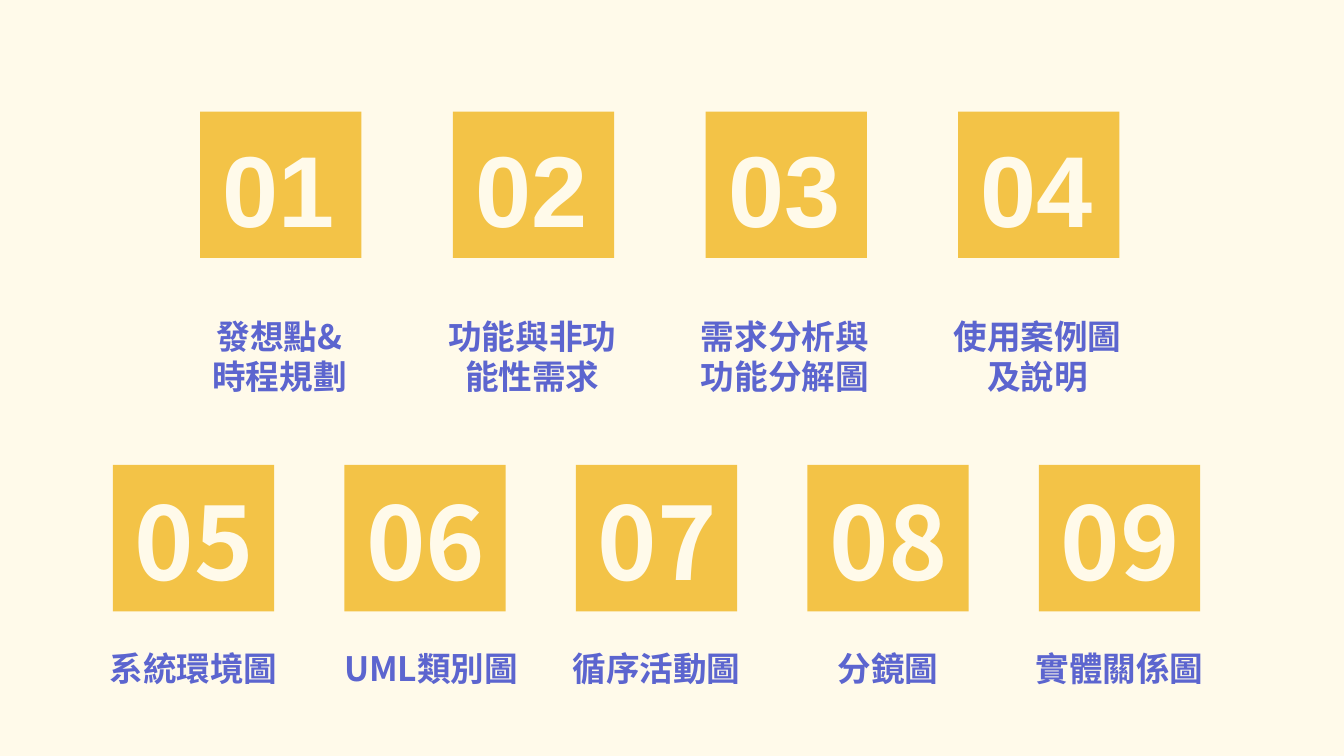
from dataclasses import dataclass

from lxml.etree import SubElement
from pptx import Presentation
from pptx.dml.color import RGBColor
from pptx.enum.shapes import MSO_SHAPE
from pptx.enum.text import MSO_ANCHOR, MSO_AUTO_SIZE, PP_ALIGN
from pptx.oxml.ns import qn
from pptx.util import Inches, Pt

TOP_TOPICS = [
    ("01", ["發想點&", "時程規劃"]),
    ("02", ["功能與非功能性需求"]),
    ("03", ["需求分析與功能分解圖"]),
    ("04", ["使用案例圖及說明"]),
]
BOTTOM_TOPICS = [
    ("05", ["系統環境圖"]),
    ("06", ["UML類別圖"]),
    ("07", ["循序活動圖"]),
    ("08", ["分鏡圖"]),
    ("09", ["實體關係圖"]),
]


@dataclass(frozen=True)
class Theme:
    background = RGBColor.from_string("FFFAEA")
    tile = RGBColor.from_string("F3C347")
    label = RGBColor.from_string("5C65CF")
    latin_font = "Arial"
    cjk_font = "Noto Sans CJK SC"
    label_size = Pt(18)
    number_size = Pt(54)


SLIDE_WIDTH = 10
SLIDE_HEIGHT = SLIDE_WIDTH * 9 / 16
TILE_WIDTH, TILE_HEIGHT = 1.2, 1.09
NUMBER_WIDTH, NUMBER_HEIGHT = 2.09, 1.15
LABEL_WIDTH, LABEL_HEIGHT = 1.62, 0.73


def place(shape, left, top, width, height):
    shape.left, shape.top = Inches(left), Inches(top)
    shape.width, shape.height = Inches(width), Inches(height)


def write(shape, lines, font_name, size, color, anchor):
    frame = shape.text_frame
    frame.word_wrap = True
    frame.auto_size = MSO_AUTO_SIZE.NONE
    frame.vertical_anchor = anchor
    frame.margin_left = frame.margin_right = Inches(0.1)
    frame.margin_top = frame.margin_bottom = Inches(0.1)
    paragraph = frame.paragraphs[0]
    paragraph.alignment = PP_ALIGN.CENTER
    paragraph.line_spacing = 1.0
    for index, line in enumerate(lines):
        if index:
            paragraph.add_line_break()
        run = paragraph.add_run()
        run.text = line
        run.font.name = font_name
        run.font.size = size
        run.font.bold = True
        run.font.color.rgb = color
        SubElement(run.font._element, qn("a:ea")).set("typeface", font_name)


def add_text_box(shapes):
    return shapes.add_textbox(0, 0, 0, 0)


def add_tile(shapes, left, top, number, number_left, font_name):
    tile = shapes.add_shape(MSO_SHAPE.RECTANGLE, 0, 0, 0, 0)
    place(tile, left, top, TILE_WIDTH, TILE_HEIGHT)
    tile.shadow.inherit = False
    tile.fill.solid()
    tile.fill.fore_color.rgb = Theme.tile
    tile.line.fill.background()
    box = add_text_box(shapes)
    place(box, number_left, top - 0.04, NUMBER_WIDTH, NUMBER_HEIGHT)
    write(box, [number], font_name, Theme.number_size, Theme.background,
          MSO_ANCHOR.BOTTOM)


def add_label(box, left, top, lines, anchor, width=LABEL_WIDTH):
    place(box, left, top, width, LABEL_HEIGHT)
    write(box, lines, Theme.cjk_font, Theme.label_size, Theme.label, anchor)


def add_top_row(slide):
    for index, (number, lines) in enumerate(TOP_TOPICS):
        left = 1.49 + 1.88 * index
        box = add_text_box(slide.shapes) if index else slide.shapes.title
        add_label(box, left - 0.22, 2.32, lines, MSO_ANCHOR.BOTTOM)
        add_tile(slide.shapes, left, 0.83, number, left - 0.46, Theme.latin_font)


def add_bottom_row(slide):
    first, last = 0.84, 7.73
    pitch = (last - first) / (len(BOTTOM_TOPICS) - 1)
    for index, (number, lines) in enumerate(BOTTOM_TOPICS):
        left = first + pitch * index
        shapes = slide.shapes.add_group_shape().shapes
        add_tile(shapes, left, 3.46, number, left - 0.44, Theme.cjk_font)
        width = 1.71 if lines[0].startswith("UML") else LABEL_WIDTH
        add_label(add_text_box(shapes), left - 0.21, 4.61, lines,
                  MSO_ANCHOR.MIDDLE, width)


def main():
    presentation = Presentation()
    presentation.slide_width = Inches(SLIDE_WIDTH)
    presentation.slide_height = Inches(SLIDE_HEIGHT)
    slide = presentation.slides.add_slide(presentation.slide_layouts[5])
    slide.background.fill.solid()
    slide.background.fill.fore_color.rgb = Theme.background
    add_top_row(slide)
    add_bottom_row(slide)
    presentation.save("out.pptx")


if __name__ == "__main__":
    main()
